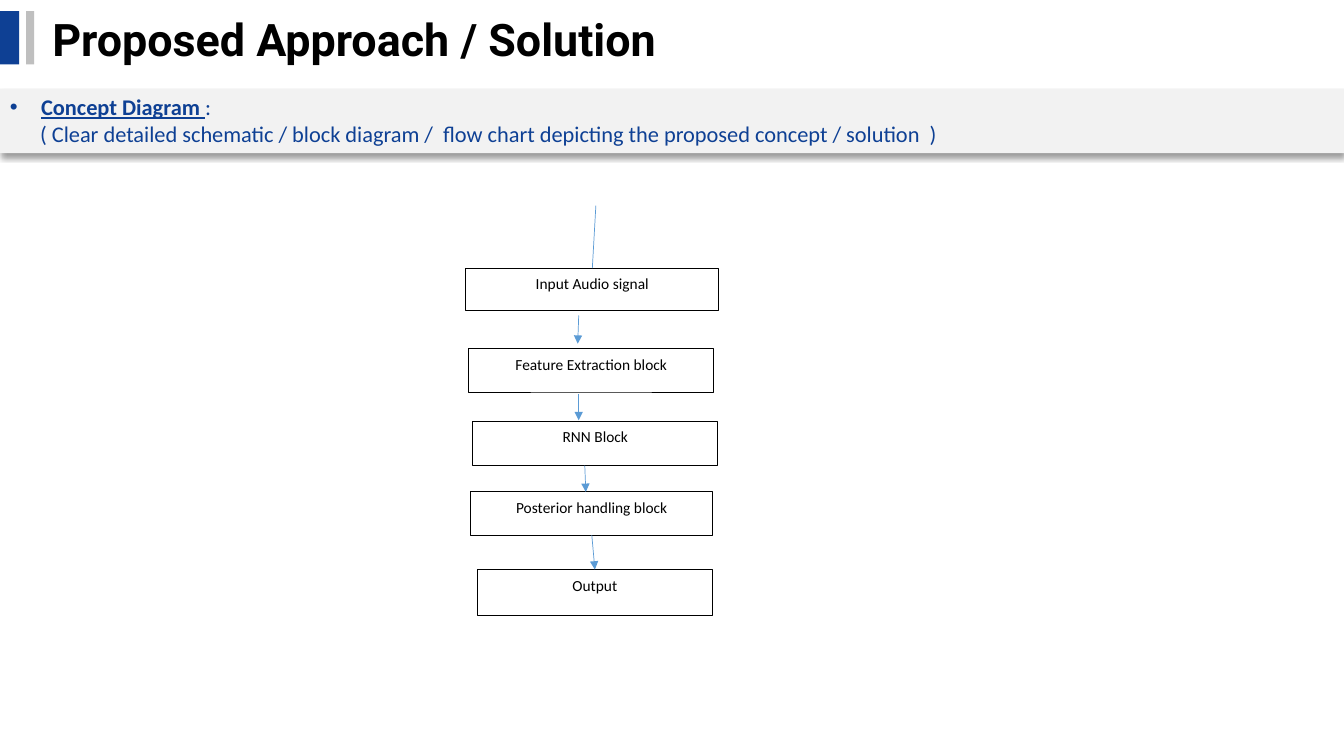
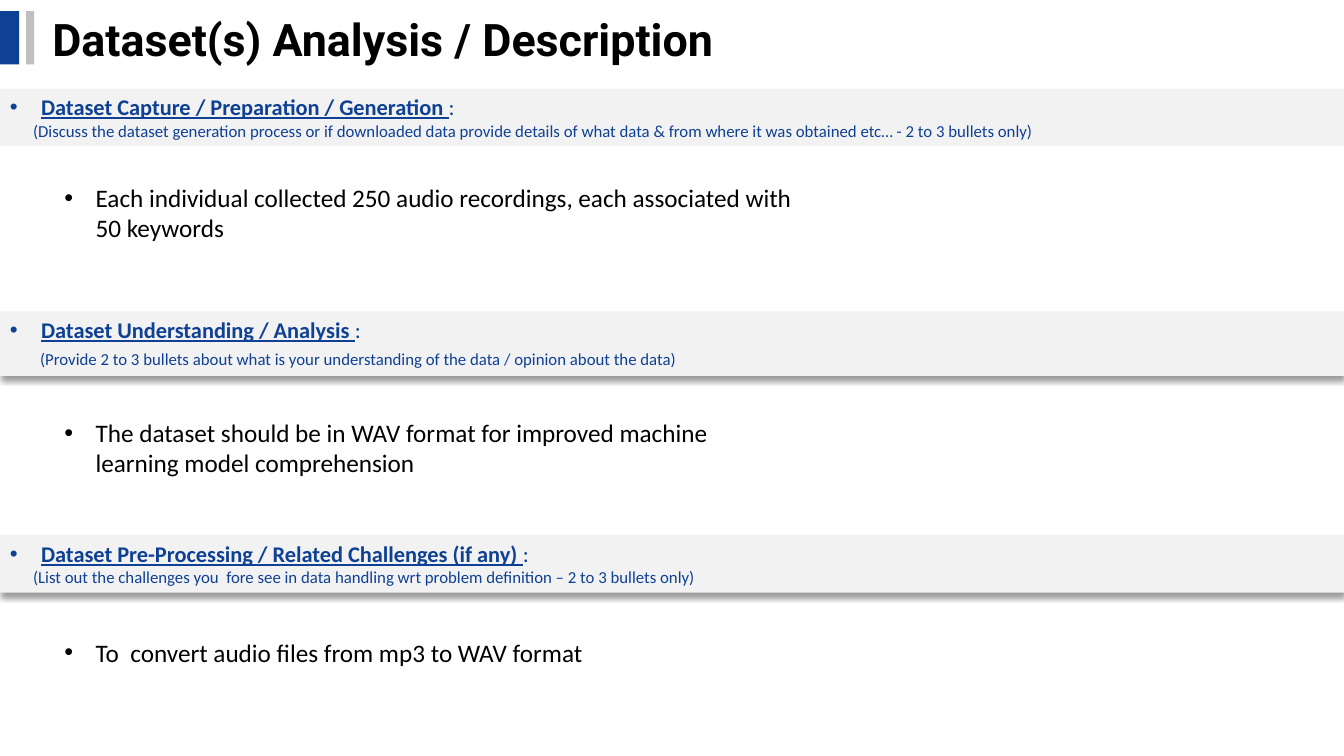
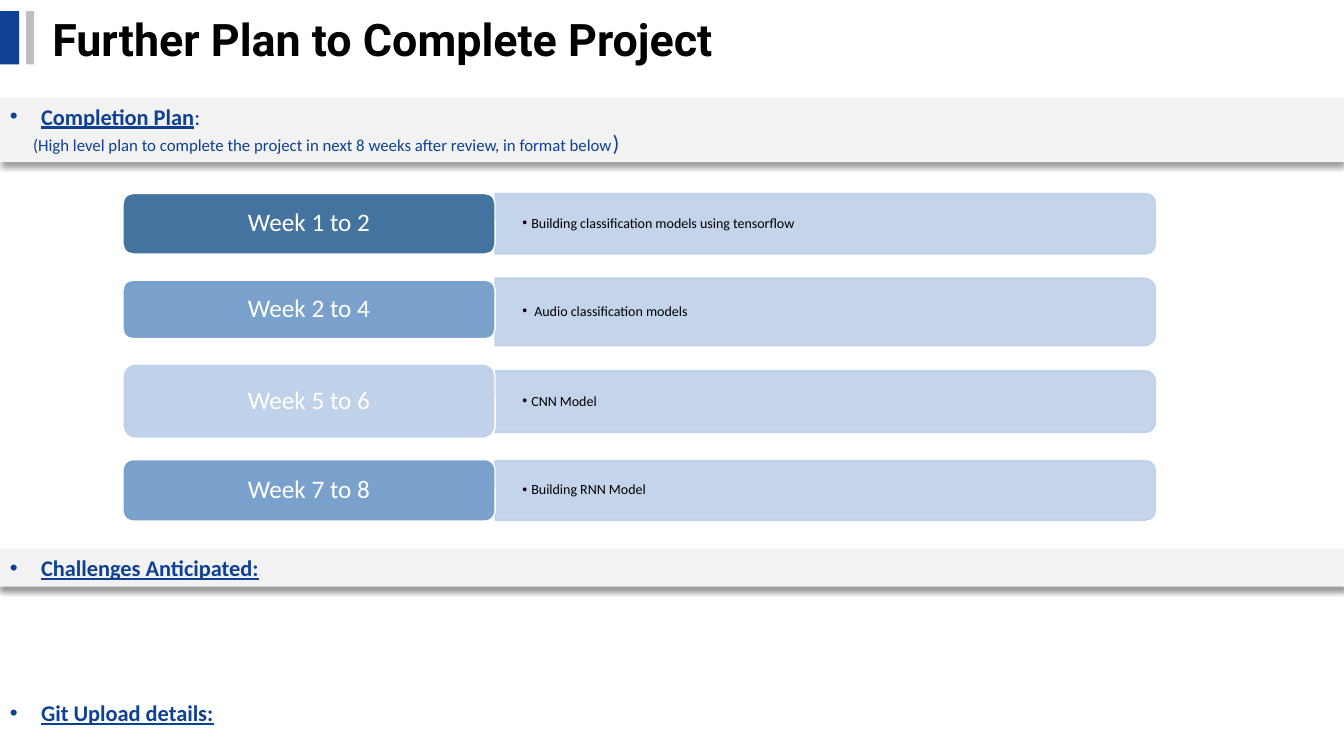
"""Builds three project review slides: approach, dataset and further plan."""
from lxml import etree
from pptx import Presentation
from pptx.dml.color import RGBColor
from pptx.enum.shapes import MSO_CONNECTOR, MSO_SHAPE
from pptx.enum.text import MSO_ANCHOR, PP_ALIGN
from pptx.oxml.ns import qn
from pptx.util import Inches, Pt

RECT = MSO_SHAPE.RECTANGLE
ROUND = MSO_SHAPE.ROUNDED_RECTANGLE
SIDE = MSO_SHAPE.ROUND_2_SAME_RECTANGLE
LINE = MSO_CONNECTOR.STRAIGHT
TOP, MIDDLE = MSO_ANCHOR.TOP, MSO_ANCHOR.MIDDLE
LEFT, CENTER = PP_ALIGN.LEFT, PP_ALIGN.CENTER
HEX = {
    "blue": "0E4094", "gray": "BFBFBF", "band": "F2F2F2", "black": "000000",
    "white": "FFFFFF", "arrow": "5B9BD5", "panel": "BDD0E9",
    "dark": "43739E", "mid": "7AA1CC", "pale": "C0D2EA",
}
WIDTH = 13.33


def write(frame, text, size=16, color="black", font="Calibri", bold=False,
          under=False, align=LEFT, indent=0, hang=0, space=None, before=0,
          after=0, tail="", tail_size=16):
    para = frame.paragraphs[0]
    if para.runs:
        para = frame.add_paragraph()
    para.alignment = align
    para.space_before, para.space_after = Pt(before), Pt(after)
    if space:
        para.line_spacing = space
    props = para._p.get_or_add_pPr()
    props.set("marL", str(Inches(indent)))
    props.set("indent", str(Inches(-hang)))
    if hang:
        etree.SubElement(props, qn("a:buFont"), typeface="Arial")
        etree.SubElement(props, qn("a:buChar"), char="•")
    parts = [(text, size, bold, under)]
    if tail:
        parts.append((tail, tail_size, False, False))
    for words, points, heavy, rule in parts:
        run = para.add_run()
        run.text = words
        run.font.name, run.font.size = font, Pt(points)
        run.font.bold, run.font.underline = heavy, rule
        run.font.color.rgb = RGBColor.from_string(HEX[color])


def box(slide, kind, left, top, width, height, fill=None, line=None,
        weight=1, anchor=TOP, shadow=False):
    area = [Inches(n) for n in (left, top, width, height)]
    if kind is None:
        shape = slide.shapes.add_textbox(*area)
    else:
        shape = slide.shapes.add_shape(kind, *area)
        shape.shadow.inherit = False
        shape.fill.solid()
        shape.fill.fore_color.rgb = RGBColor.from_string(HEX[fill])
        if line:
            shape.line.color.rgb = RGBColor.from_string(HEX[line])
            shape.line.width = Pt(weight)
        else:
            shape.line.fill.background()
    if shadow:
        effect = shape._element.spPr.find(qn("a:effectLst"))
        outer = etree.SubElement(
            effect, qn("a:outerShdw"), blurRad=str(Pt(4)), dist=str(Pt(3)),
            dir="5400000", algn="t", rotWithShape="0")
        tint = etree.SubElement(outer, qn("a:srgbClr"), val=HEX["black"])
        etree.SubElement(tint, qn("a:alpha"), val="40000")
    shape.text_frame.word_wrap = True
    shape.text_frame.vertical_anchor = anchor
    return shape


deck = Presentation()
deck.slide_width, deck.slide_height = Inches(WIDTH), Inches(7.5)

titles = [
    "Proposed Approach / Solution",
    "Dataset(s) Analysis / Description",
    "Further Plan to Complete Project",
]
slides = []
for title in titles:
    slide = deck.slides.add_slide(deck.slide_layouts[6])
    box(slide, RECT, 0, 0.11, 0.19, 0.53, "blue")
    box(slide, RECT, 0.26, 0.11, 0.08, 0.53, "gray")
    head = box(slide, None, 0.42, 0.06, 10.28, 0.64, anchor=MIDDLE)
    write(head.text_frame, title, size=32, font="Roboto", bold=True)
    slides.append(slide)
concept, dataset, plan = slides

bands = [
    (concept, 0.88, 0.64, True, "Concept Diagram ", ": ",
     "( Clear detailed schematic / block diagram /  flow chart depicting "
     "the proposed concept / solution  )", {"indent": 0.3}),
    (dataset, 0.88, 0.57, False,
     "Dataset Capture / Preparation / Generation ", ": ",
     "(Discuss the dataset generation process or if downloaded data provide "
     "details of what data & from where it was obtained etc… - 2 to 3 "
     "bullets only)", {"size": 12, "indent": 0.23}),
    (dataset, 3.09, 0.64, True, "Dataset Understanding / Analysis ", ": ",
     "(Provide 2 to 3 bullets about what is your understanding of the data "
     "/ opinion about the data)",
     {"size": 12, "indent": 0.3, "before": 4}),
    (dataset, 5.31, 0.57, True,
     "Dataset Pre-Processing / Related Challenges (if any) ", ": ",
     "(List out the challenges you  fore see in data handling wrt problem "
     "definition – 2 to 3 bullets only)", {"size": 12, "indent": 0.23}),
    (plan, 0.97, 0.64, True, "Completion Plan", ": ",
     "(High level plan to complete the project in next 8 weeks after "
     "review, in format below",
     {"size": 12, "indent": 0.23, "tail": ")"}),
    (plan, 5.45, 0.37, True, "Challenges Anticipated:", "", "", {}),
]
label = {"color": "blue", "bold": True, "under": True,
         "indent": 0.31, "hang": 0.31}
for slide, top, height, shadow, name, colon, hint, style in bands:
    band = box(slide, RECT, 0, top, WIDTH, height, "band", shadow=shadow)
    write(band.text_frame, name, tail=colon, **label)
    if hint:
        write(band.text_frame, hint, color="blue", **style)

steps = [
    ("Input Audio signal", 4.62, 2.66, 2.51, 0.42, 0.75),
    ("Feature Extraction block", 4.65, 3.46, 2.43, 0.43, 0.5),
    ("RNN Block", 4.69, 4.18, 2.43, 0.44, 0.5),
    ("Posterior handling block", 4.67, 4.88, 2.4, 0.43, 0.5),
    ("Output", 4.73, 5.65, 2.34, 0.46, 0.5),
]
blocks = []
for name, left, top, width, height, weight in steps:
    block = box(concept, RECT, left, top, width, height, "white", "black",
                weight)
    write(block.text_frame, name, size=11, align=CENTER, space=1.07, after=8)
    blocks.append(block)

links = [
    (5.91, 2.04, 5.88, 2.66, False, None, blocks[0]),
    (5.74, 3.13, 5.73, 3.41, True, None, None),
    (5.74, 3.91, 5.74, 4.17, True, None, None),
    (5.8, 4.62, 5.81, 4.88, True, None, None),
    (5.87, 5.31, 5.9, 5.65, True, blocks[3], blocks[4]),
]
for *ends, arrow, start, stop in links:
    link = concept.shapes.add_connector(LINE, *[Inches(n) for n in ends])
    if start:
        link.begin_connect(start, 2)
    if stop:
        link.end_connect(stop, 0)
    link.line.color.rgb = RGBColor.from_string(HEX["arrow"])
    link.line.width = Pt(0.5)
    props = link._element.spPr
    if arrow:
        etree.SubElement(props.find(qn("a:ln")), qn("a:tailEnd"),
                         type="triangle")
    etree.SubElement(props, qn("a:effectLst"))

notes = [
    (1.76, 7.61, 0.71, "Each individual collected 250 audio recordings, "
     "each associated with 50 keywords"),
    (4.09, 7.2, 0.71, "The dataset should be in WAV format for improved "
     "machine learning model comprehension"),
    (6.27, 6.29, 0.4, "To  convert audio files from mp3 to WAV format"),
]
for top, width, height, text in notes:
    note = box(dataset, None, 0.54, top, width, height)
    write(note.text_frame, text, size=18, indent=0.31, hang=0.31)

weeks = [
    ("Week 1 to 2", "dark", 1.92, 0.6, 1.92, 0.6, 0.09,
     "Building classification models using tensorflow"),
    ("Week 2 to 4", "mid", 2.78, 0.58, 2.76, 0.67, 0.12,
     "Audio classification models"),
    ("Week 5 to 6", "pale", 3.61, 0.74, 3.68, 0.61, 0.09, "CNN Model"),
    ("Week 7 to 8", "mid", 4.56, 0.61, 4.57, 0.59, 0.09,
     "Building RNN Model"),
]
edge, span = 4.91, 6.55
for name, color, top, height, low, deep, hang, task in weeks:
    panel = box(plan, SIDE, edge + (span - deep) / 2, low + (deep - span) / 2,
                deep, span, "panel", "panel")
    panel.rotation = 90
    for tint in panel._element.spPr.iter(qn("a:srgbClr")):
        etree.SubElement(tint, qn("a:alpha"), val="90000")
    item = box(plan, None, edge, low, span, deep, anchor=MIDDLE)
    item.text_frame.margin_left = Inches(0.27)
    write(item.text_frame, task, size=10, indent=hang, hang=hang, space=0.9)
    tag = box(plan, ROUND, 1.22, top, 3.69, height, color, "white",
              anchor=MIDDLE)
    write(tag.text_frame, name, size=18, color="white", align=CENTER,
          space=0.9)

upload = box(plan, None, 0, 6.89, 6.67, 0.57)
write(upload.text_frame, "Git Upload details:", **label)

deck.save("out.pptx")
